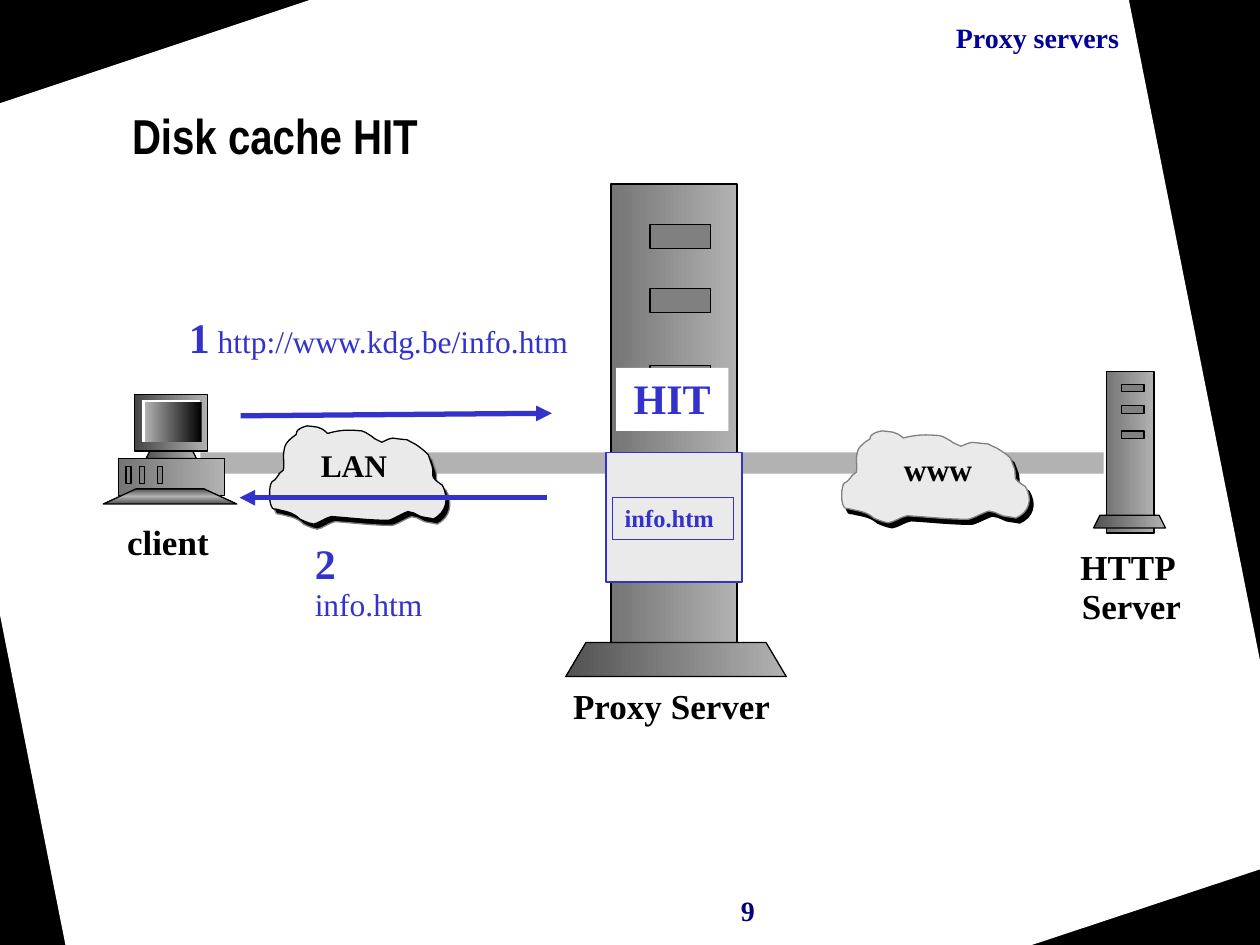
from lxml import etree
from pptx import Presentation
from pptx.dml.color import RGBColor
from pptx.enum import shapes, text
from pptx.oxml.ns import qn
from pptx.util import Inches, Pt

BLUE, NAVY, GREY, PALE, SLOT = "3333CC", "000099", "B2B2B2", "EAEAEA", "808080"
BODY_SHADE, FOOT_SHADE = (GREY, "757575"), (GREY, "525252")
RECT, TRAPEZOID = shapes.MSO_SHAPE.RECTANGLE, shapes.MSO_SHAPE.TRAPEZOID
LEFT, CENTER, RIGHT = text.PP_ALIGN.LEFT, text.PP_ALIGN.CENTER, text.PP_ALIGN.RIGHT

# Cloud outline in hundredths of an inch: a start, then cubic curves
CLOUD_SIZE = (143, 78)
CLOUD_START = (49, 72)
CLOUD_CURVES = [
    (43, 74, 46, 73, 38, 77), (37, 77, 35, 78, 35, 78), (34, 78, 32, 77, 31, 77),
    (28, 76, 24, 74, 24, 74), (18, 68, 12, 68, 5, 66), (4, 66, 2, 66, 2, 65),
    (0, 62, 0, 56, 0, 56), (0, 52, 0, 49, 1, 46), (1, 44, 3, 44, 4, 43),
    (13, 32, 2, 43, 11, 35), (12, 28, 10, 25, 12, 17), (13, 12, 21, 7, 21, 7),
    (21, 6, 22, 3, 23, 3), (25, 1, 30, 0, 30, 0), (37, 1, 40, 0, 46, 6),
    (57, 3, 62, 3, 73, 4), (75, 5, 77, 5, 79, 7), (81, 8, 82, 9, 83, 10),
    (85, 11, 89, 13, 89, 13), (100, 8, 94, 10, 109, 11), (118, 16, 114, 13, 123, 20),
    (124, 21, 126, 23, 126, 23), (128, 27, 128, 28, 129, 32), (130, 35, 129, 39, 130, 41),
    (132, 44, 137, 47, 137, 47), (143, 58, 140, 69, 130, 74), (127, 73, 124, 73, 120, 72),
    (118, 71, 116, 70, 114, 69), (113, 69, 110, 68, 110, 68), (106, 69, 97, 75, 94, 75),
    (79, 75, 64, 73, 49, 72),
]


def color(value):
    return RGBColor.from_string(value)


def paint(shape, fill=None, line=None, angle=180):
    """Fill with nothing, one colour, or a tuple of evenly spaced gradient colours."""
    shape.shadow.inherit = False
    if fill is None:
        shape.fill.background()
    elif isinstance(fill, str):
        shape.fill.solid()
        shape.fill.fore_color.rgb = color(fill)
    else:
        shape.fill.gradient()
        shape.fill.gradient_angle = angle
        stops = shape._element.spPr.find(qn("a:gradFill")).find(qn("a:gsLst"))
        for stop in list(stops):
            stops.remove(stop)
        for i, shade in enumerate(fill):
            stop = etree.SubElement(stops, qn("a:gs"), pos=str(100000 * i // (len(fill) - 1)))
            etree.SubElement(stop, qn("a:srgbClr"), val=shade)
    if line:
        shape.line.color.rgb = color(line)
        shape.line.width = Pt(0.75)
    else:
        shape.line.fill.background()
    return shape


def block(slide, box, fill=None, line="000000", kind=RECT, inset=0, angle=180):
    shape = slide.shapes.add_shape(kind, *map(Inches, box))
    if kind == TRAPEZOID:
        shape.adjustments[0] = inset / min(box[2:])
    return paint(shape, fill, line, angle)


def outline(slide, points, fill, line=None):
    points = [(Inches(x), Inches(y)) for x, y in points]
    builder = slide.shapes.build_freeform(*points[0])
    builder.add_line_segments(points[1:], close=True)
    return paint(builder.convert_to_shape(), fill, line)


def write(frame, *runs, size=20, color_hex="000000", font="Times New Roman", align=LEFT,
          wrap=True, spacing=0.93, top=0.07, anchor=text.MSO_ANCHOR.TOP, grow=True):
    """Each run is a text, or a (text, size) pair for regular weight."""
    frame.word_wrap = wrap
    if grow:
        frame.auto_size = text.MSO_AUTO_SIZE.SHAPE_TO_FIT_TEXT
    frame.vertical_anchor = anchor
    frame.margin_left = frame.margin_right = Inches(0.1)
    frame.margin_top, frame.margin_bottom = Inches(top), Inches(0.05)
    paragraph = frame.paragraphs[0]
    paragraph.alignment, paragraph.line_spacing = align, spacing
    for part in runs:
        content, points = (part, size) if isinstance(part, str) else part
        for i, row in enumerate(content.split("\n")):
            if i:
                paragraph.add_line_break()
            run = paragraph.add_run()
            run.text = row
            run.font.name, run.font.size = font, Pt(points)
            run.font.bold = isinstance(part, str)
            run.font.color.rgb = color(color_hex)


def label(slide, box, *runs, fill=None, line=None, **style):
    write(block(slide, box, fill, line).text_frame, *runs, **style)


def arrow(slide, start, end):
    line = slide.shapes.add_connector(shapes.MSO_CONNECTOR.STRAIGHT, *map(Inches, start + end))
    line.line.color.rgb = color(BLUE)
    line.line.width = Pt(3)
    etree.SubElement(line.line._get_or_add_ln(), qn("a:tailEnd"), type="triangle")
    etree.SubElement(line._element.spPr, qn("a:effectLst"))


def frame_page(slide):
    slide.background.fill.solid()
    slide.background.fill.fore_color.rgb = color("000000")
    outline(slide, [(8.96, 0), (2.46, 0), (0, 0.82), (0, 4.88), (0.52, 7.5),
                    (8.19, 7.5), (10, 6.9), (10, 5.24)], "FFFFFF")
    label(slide, (3.88, 0.13, 5.1, 0.36), "Proxy servers", size=16, color_hex=NAVY,
          align=RIGHT, spacing=0.95, top=0.05)
    label(slide, (5.55, 7.06, 0.77, 0.36), "9", size=16, color_hex="000080",
          align=CENTER, spacing=0.95, top=0.05)
    title = slide.shapes.add_textbox(*map(Inches, (0.95, 0.79, 8.5, 0.58)))
    write(title.text_frame, "Disk cache HIT", size=28, font="Arial Narrow", spacing=0.98,
          top=0.06, anchor=text.MSO_ANCHOR.MIDDLE, grow=False)


def cloud_layer(slide, left, top, width, height, fill, line):
    """Draw the curved cloud outline, stretched over the box."""
    right, bottom = left + width, top + height
    shape = outline(slide, [(left, top), (right, top), (right, bottom), (left, bottom)],
                    fill, line)
    curve_path = next(shape._element.iter(qn("a:path")))
    for step in list(curve_path):
        curve_path.remove(step)
    for side, length in zip("wh", CLOUD_SIZE):
        curve_path.set(side, str(length))
    segments = [("a:moveTo", CLOUD_START)] + [("a:cubicBezTo", c) for c in CLOUD_CURVES]
    for tag, numbers in segments:
        segment = etree.SubElement(curve_path, qn(tag))
        for x, y in zip(numbers[::2], numbers[1::2]):
            etree.SubElement(segment, qn("a:pt"), x=str(x), y=str(y))
    etree.SubElement(curve_path, qn("a:close"))


def cloud(slide, box, name, name_box, back_line, front_line):
    left, top, width, height = box
    cloud_layer(slide, left + 0.03, top + 0.04, width, height, "000000", back_line)
    cloud_layer(slide, *box, PALE, front_line)
    dx, dy, w, h = name_box
    label(slide, (left + dx, top + dy, w, h), name, size=18, align=CENTER)


def client(slide, left, top):
    def part(dx, dy, w, h, *args, **style):
        block(slide, (left + dx, top + dy, w, h), *args, **style)

    part(0.34, 0.43, 0.4, 0.08, FOOT_SHADE, kind=TRAPEZOID, inset=0.04)
    part(0.25, 0, 0.58, 0.45, (GREY, "464646"))
    part(0.31, 0.05, 0.45, 0.32, "FFFFFF", "FFFFFF")
    part(0.33, 0.06, 0.45, 0.32, ("000000", GREY), None)
    part(0.12, 0.51, 0.84, 0.29, BODY_SHADE)
    part(0, 0.75, 1.06, 0.12, ("525252", GREY, "525252"), kind=TRAPEZOID, inset=0.26, angle=90)
    for dx in (0.18, 0.29, 0.43):
        part(dx, 0.57, 0.04, 0.14, SLOT)
    label(slide, (left + 0.09, top + 0.96, 0.85, 0.43), "client", wrap=False)


def server(slide, tower, slot_size, slot_left, slot_tops, foot, inset):
    """Slot and foot places are relative to the tower's top left corner."""
    left, top = tower[:2]
    block(slide, tower, BODY_SHADE)
    for dy in slot_tops:
        block(slide, (left + slot_left, top + dy, *slot_size), SLOT)
    dx, dy, w, h = foot
    block(slide, (left + dx, top + dy, w, h), FOOT_SHADE, kind=TRAPEZOID, inset=inset)


def disk_cache(slide, left, top):
    block(slide, (left, top, 1.08, 1.03), PALE, BLUE)
    label(slide, (left + 0.05, top + 0.36, 0.96, 0.33), "info.htm", line=BLUE,
          size=14, color_hex=BLUE, top=0.06)
    label(slide, (left + 0.08, top - 0.67, 0.89, 0.5), "HIT", fill="FFFFFF",
          size=24, color_hex=BLUE, align=CENTER)


def main():
    deck = Presentation()
    deck.slide_width, deck.slide_height = Inches(10), Inches(7.5)
    slide = deck.slides.add_slide(deck.slide_layouts[6])
    frame_page(slide)
    block(slide, (1.59, 3.59, 7.17, 0.17), GREY, None)
    cloud(slide, (2.14, 3.38, 1.43, 0.78), "LAN", (0.27, 0.12, 0.8, 0.4), SLOT, "000000")
    client(slide, 0.82, 3.13)
    server(slide, (4.85, 1.46, 1, 3.89), (0.48, 0.19), 0.31, (0.32, 0.83, 1.44),
           (-0.36, 3.64, 1.75, 0.27), 0.16)
    server(slide, (8.78, 2.95, 0.38, 1.28), (0.18, 0.06), 0.12, (0.1, 0.27, 0.47),
           (-0.1, 1.14, 0.57, 0.1), 0.05)
    label(slide, (8.47, 4.29, 1.02, 0.74), "HTTP \nServer", align=CENTER, wrap=False)
    cloud(slide, (6.68, 3.42, 1.52, 0.73), "www", (0.34, 0.11, 0.85, 0.4), "000000", SLOT)
    label(slide, (4.44, 5.39, 1.78, 0.43), "Proxy Server", align=CENTER)
    arrow(slide, (1.91, 3.3), (4.38, 3.28))
    label(slide, (1.4, 2.44, 3.23, 0.5), "1", (" http://www.kdg.be/info.htm", 18),
          size=24, color_hex=BLUE, wrap=False)
    label(slide, (2.4, 4.23, 1.3, 0.5), "2 ", ("info.htm", 18),
          size=24, color_hex=BLUE, wrap=False)
    arrow(slide, (4.34, 3.95), (1.9, 3.95))
    disk_cache(slide, 4.81, 3.59)
    deck.save("out.pptx")


if __name__ == "__main__":
    main()
